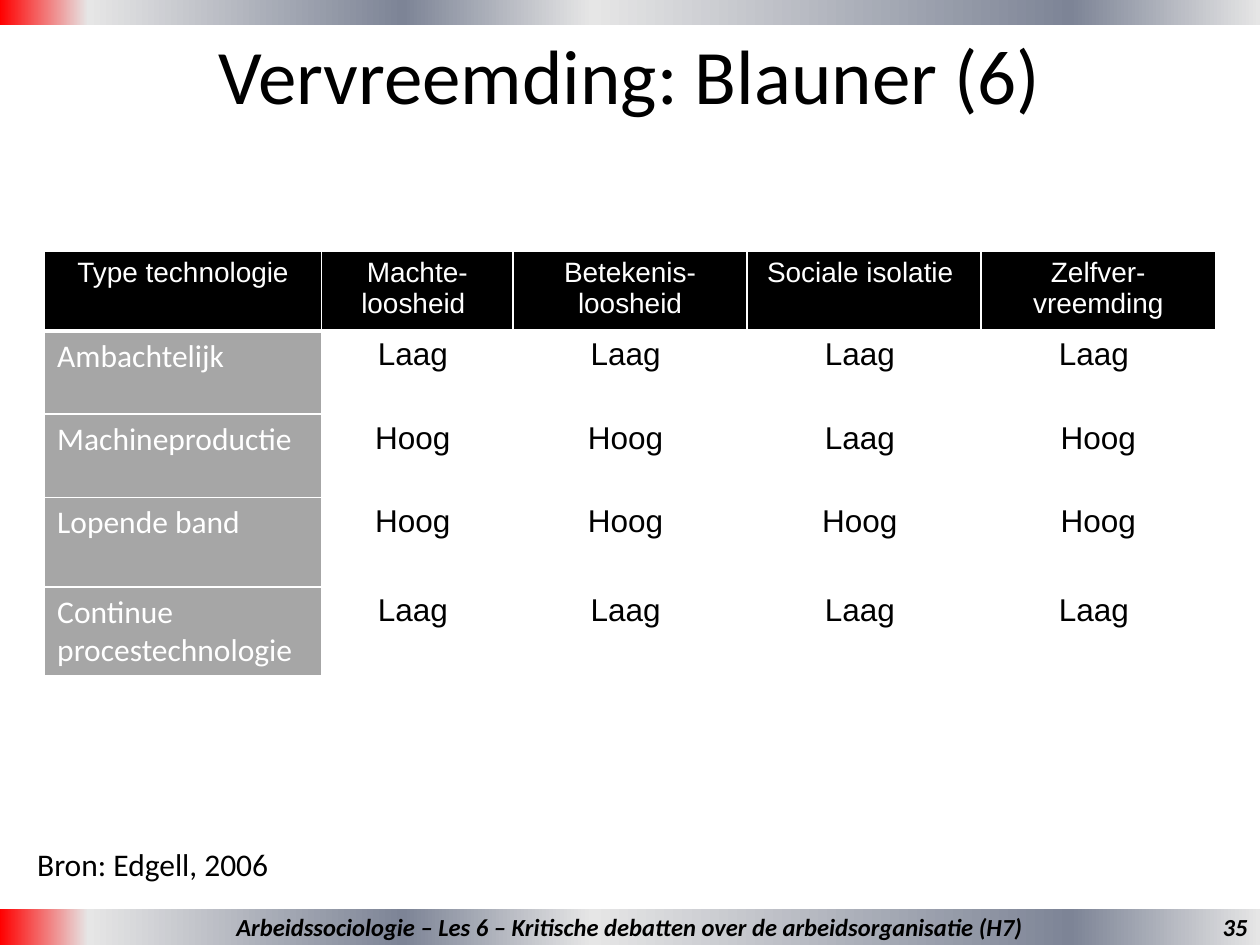
from lxml import etree
from pptx import Presentation
from pptx.dml.color import RGBColor
from pptx.enum.shapes import MSO_SHAPE
from pptx.enum.text import MSO_ANCHOR, MSO_AUTO_SIZE, PP_ALIGN
from pptx.oxml.ns import qn
from pptx.util import Cm, Pt

LEFT, CENTER, RIGHT = PP_ALIGN.LEFT, PP_ALIGN.CENTER, PP_ALIGN.RIGHT
TOP, MIDDLE = MSO_ANCHOR.TOP, MSO_ANCHOR.MIDDLE
RECTANGLE = MSO_SHAPE.RECTANGLE
FIXED = MSO_AUTO_SIZE.NONE

TITLE = "Vervreemding: Blauner (6)"
FOOTER = "Arbeidssociologie – Les 6 – Kritische debatten over de arbeidsorganisatie (H7)"
PAGE_NUMBER = "35"
SOURCE = "Bron: Edgell, 2006"
TABLE = [
    ["Type technologie", "Machte-loosheid ", "Betekenis-loosheid", "Sociale isolatie ", "Zelfver-vreemding"],
    ["Ambachtelijk", "Laag ", "Laag ", "Laag ", "Laag "],
    ["Machineproductie", "Hoog ", "Hoog ", "Laag ", "Hoog"],
    ["Lopende band", "Hoog ", "Hoog ", "Hoog ", "Hoog"],
    ["Continue procestechnologie", "Laag ", "Laag ", "Laag ", "Laag "],
]
COLUMN_WIDTHS = [5.58, 3.86, 4.72, 4.72, 4.72]
ROW_HEIGHTS = [1.49, 1.68, 1.68, 1.8, 1.8]

THEME = {
    "heading": "Calibri", "body": "Arial",
    "title": 44, "text": 18, "header": 16, "footer": 14,
    "black": "000000", "white": "FFFFFF", "gray": "A6A6A6",
    "band": [(0, "FF0000"), (7, "E6E6E6"), (32, "7D8496"),
             (47, "E6E6E6"), (85, "7D8496"), (100, "E6E6E6")],
}
PAGE_WIDTH, PAGE_HEIGHT = 25.4, 19.05
FOOTER_HEIGHT = 0.73
FOOTER_TOP = PAGE_HEIGHT - FOOTER_HEIGHT


def write(holder, text, size, font=THEME["heading"], color=THEME["black"], align=LEFT, strong=False):
    frame = holder.text_frame
    frame.text = text
    para = frame.paragraphs[0]
    para.alignment = align
    for span in para.runs:
        span.font.size = Pt(size)
        span.font.name = font
        span.font.color.rgb = RGBColor.from_string(color)
        span.font.bold = span.font.italic = strong


def add_band(page, top, height):
    band = page.shapes.add_shape(RECTANGLE, 0, Cm(top), Cm(PAGE_WIDTH), Cm(height))
    band.shadow.inherit = False
    band.line.fill.background()
    band.fill.gradient()
    band.fill.gradient_angle = 0
    stops = band.fill._fill._gradFill.find(qn("a:gsLst"))
    for stop in list(stops):
        stops.remove(stop)
    for position, color in THEME["band"]:
        stop = etree.SubElement(stops, qn("a:gs"), pos=str(position * 1000))
        etree.SubElement(stop, qn("a:srgbClr"), val=color)
    return band


def add_text(page, left, top, width, height, anchor):
    box = page.shapes.add_textbox(Cm(left), Cm(top), Cm(width), Cm(height))
    box.text_frame.word_wrap = True
    box.text_frame.vertical_anchor = anchor
    return box


def set_borders(cell, bottom_width):
    properties = cell._tc.get_or_add_tcPr()
    widths = {"lnL": 1, "lnR": 1, "lnT": 1, "lnB": bottom_width}
    for index, (side, width) in enumerate(widths.items()):
        line = etree.Element(qn(f"a:{side}"), w=str(Pt(width)))
        fill = etree.SubElement(line, qn("a:solidFill"))
        etree.SubElement(fill, qn("a:srgbClr"), val=THEME["white"])
        properties.insert(index, line)


def add_technology_table(page):
    frame = page.shapes.add_table(len(TABLE), len(TABLE[0]), Cm(0.9), Cm(5.06),
                                  Cm(sum(COLUMN_WIDTHS)), Cm(sum(ROW_HEIGHTS)))
    table = frame.table
    for column, width in zip(table.columns, COLUMN_WIDTHS):
        column.width = Cm(width)
    for row, height in zip(table.rows, ROW_HEIGHTS):
        row.height = Cm(height)
    for r, texts in enumerate(TABLE):
        for c, text in enumerate(texts):
            cell = table.cell(r, c)
            header, label = r == 0, r > 0 and c == 0
            if header or label:
                cell.fill.solid()
                cell.fill.fore_color.rgb = RGBColor.from_string(THEME["black" if header else "gray"])
            else:
                cell.fill.background()
            write(cell, text, THEME["header" if header else "text"],
                  THEME["heading" if label else "body"],
                  THEME["white" if header or label else "black"],
                  LEFT if label else CENTER)
            set_borders(cell, 3 if header else 1)


def main():
    deck = Presentation()
    deck.slide_width, deck.slide_height = Cm(PAGE_WIDTH), Cm(PAGE_HEIGHT)
    page = deck.slides.add_slide(deck.slide_layouts[5])

    footer = add_band(page, FOOTER_TOP, FOOTER_HEIGHT)
    footer.text_frame.vertical_anchor = MIDDLE
    write(footer, FOOTER, THEME["footer"], align=CENTER, strong=True)
    number = add_text(page, 18.2, FOOTER_TOP, 7.2, FOOTER_HEIGHT, MIDDLE)
    write(number, PAGE_NUMBER, THEME["footer"], align=RIGHT, strong=True)
    add_band(page, 0, 0.5)

    title = page.shapes.title
    title.left, title.top, title.width, title.height = 0, Cm(0.33), Cm(PAGE_WIDTH), Cm(2.33)
    title.text_frame.auto_size = FIXED
    title.text_frame.vertical_anchor = MIDDLE
    write(title, TITLE, THEME["title"], align=CENTER)

    add_technology_table(page)
    source = add_text(page, 0.5, 16.91, 9.4, 1.03, TOP)
    write(source, SOURCE, THEME["text"])
    deck.save("out.pptx")


if __name__ == "__main__":
    main()
